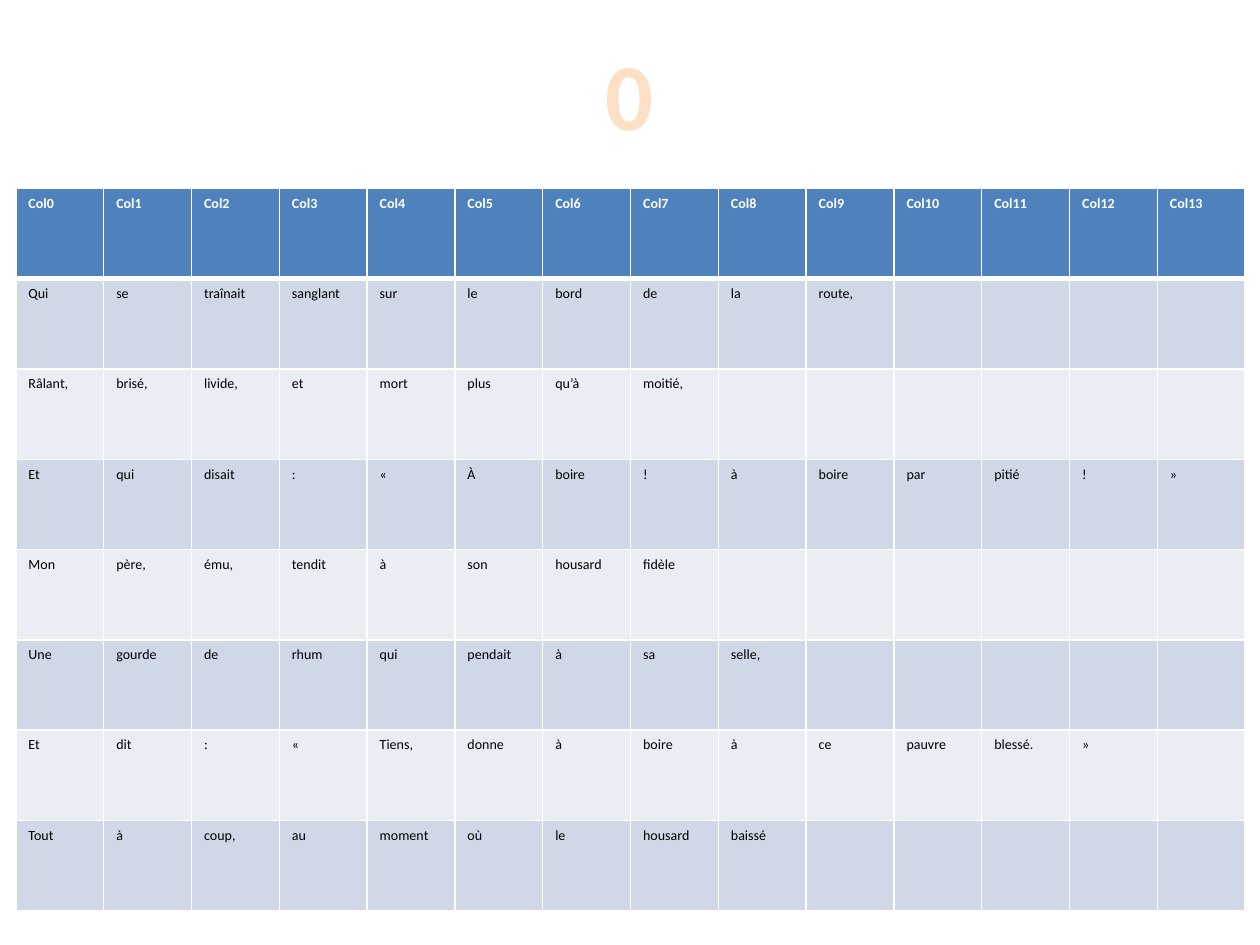
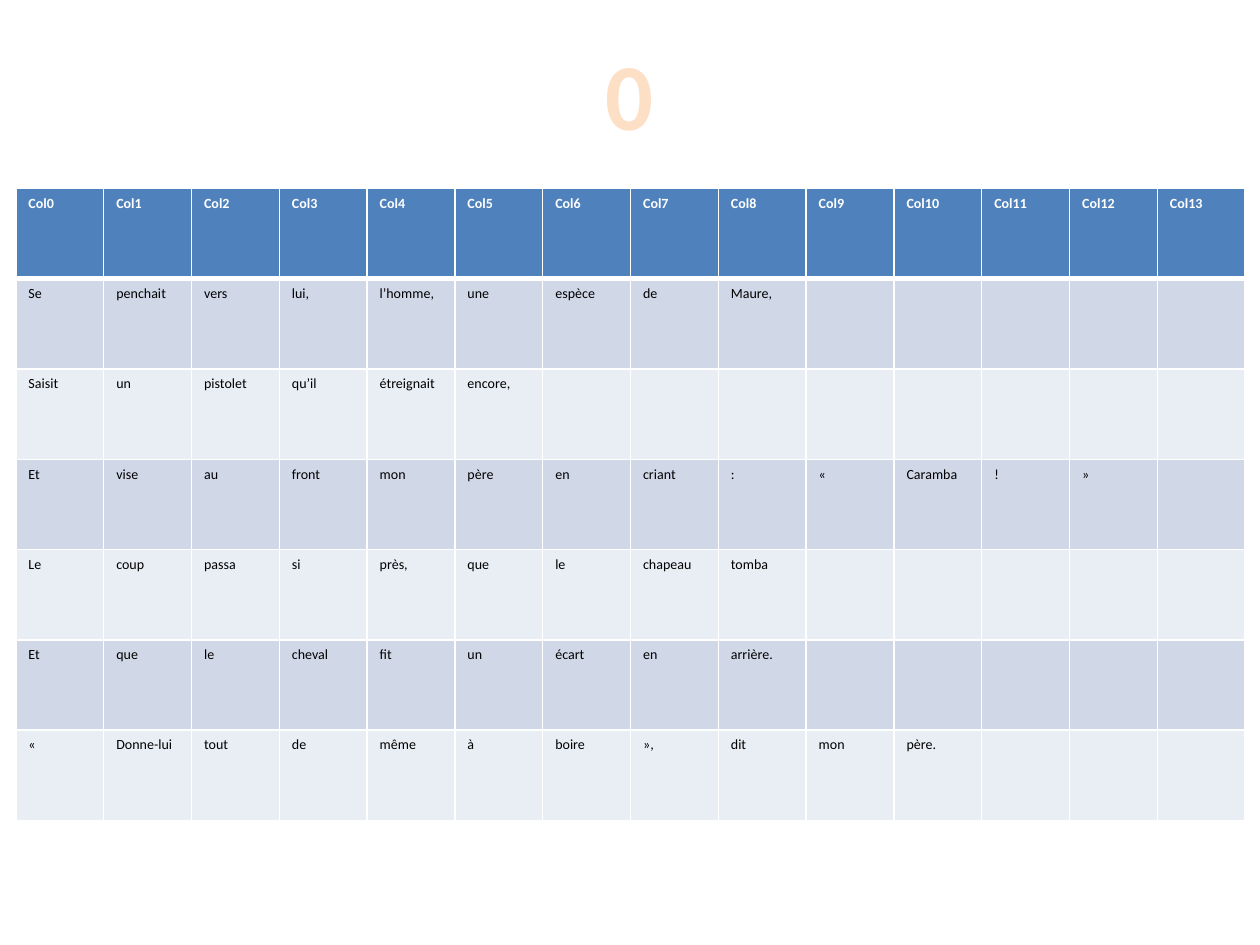
from dataclasses import dataclass

from lxml.etree import SubElement
from pptx import Presentation
from pptx.dml.color import RGBColor
from pptx.enum.text import PP_ALIGN
from pptx.oxml.ns import qn
from pptx.slide import Slide
from pptx.table import _Cell
from pptx.util import Cm, Pt

WHITE = RGBColor(0xFF, 0xFF, 0xFF)
BLACK = RGBColor(0x00, 0x00, 0x00)
HEADER_BLUE = RGBColor(0x4F, 0x81, 0xBD)
BAND_DARK = RGBColor(0xD0, 0xD8, 0xE8)
BAND_LIGHT = RGBColor(0xE9, 0xED, 0xF4)
PEACH = RGBColor(0xFD, 0xDF, 0xC6)

FONT = "Calibri"
COLUMN_COUNT = 14
COLUMN_WIDTH = Cm(1.77)
ROW_HEIGHT = Cm(1.82)
TABLE_LEFT = Cm(0.32)
TABLE_TOP = Cm(3.8)


@dataclass(frozen=True)
class RowStyle:
    fill: RGBColor
    ink: RGBColor
    bold: bool
    borders: dict[str, float]


BODY_BORDERS = {"lnL": 1, "lnR": 1, "lnB": 1}
HEADER = RowStyle(HEADER_BLUE, WHITE, True, {"lnL": 1, "lnR": 1, "lnT": 1, "lnB": 3})
BANDS = (
    RowStyle(BAND_DARK, BLACK, False, BODY_BORDERS),
    RowStyle(BAND_LIGHT, BLACK, False, BODY_BORDERS),
)


@dataclass(frozen=True)
class PoemPage:
    title: str
    verses: tuple[str, ...]


PAGES = (
    PoemPage("0", (
        "Qui se traînait sanglant sur le bord de la route,",
        "Râlant, brisé, livide, et mort plus qu’à moitié,",
        "Et qui disait : « À boire ! à boire par pitié ! »",
        "Mon père, ému, tendit à son housard fidèle",
        "Une gourde de rhum qui pendait à sa selle,",
        "Et dit : « Tiens, donne à boire à ce pauvre blessé. »",
        "Tout à coup, au moment où le housard baissé",
    )),
    PoemPage("0", (
        "Se penchait vers lui, l’homme, une espèce de Maure,",
        "Saisit un pistolet qu’il étreignait encore,",
        "Et vise au front mon père en criant : « Caramba ! »",
        "Le coup passa si près, que le chapeau tomba",
        "Et que le cheval fit un écart en arrière.",
        "« Donne-lui tout de même à boire », dit mon père.",
    )),
)


def add_outline(parent, tag: str, points: float, color: RGBColor) -> None:
    outline = SubElement(parent, qn(f"a:{tag}"), w=str(Pt(points)))
    solid = SubElement(outline, qn("a:solidFill"))
    SubElement(solid, qn("a:srgbClr"), val=str(color))


def add_title(slide: Slide, title: str) -> None:
    frame = slide.shapes.add_textbox(Cm(11.76), Cm(0.61), Cm(1.88), Cm(2.35)).text_frame
    frame.word_wrap = True
    paragraph = frame.paragraphs[0]
    paragraph.alignment = PP_ALIGN.CENTER
    run = paragraph.add_run()
    run.text = title
    properties = run.font._element
    add_outline(properties, "ln", 1.5, PEACH)
    run.font.name = FONT
    run.font.size = Pt(54)
    run.font.bold = True
    run.font.color.rgb = PEACH


def style_cell(cell: _Cell, word: str, style: RowStyle) -> None:
    properties = cell._tc.get_or_add_tcPr()
    for edge, points in style.borders.items():
        add_outline(properties, edge, points, WHITE)
    cell.fill.solid()
    cell.fill.fore_color.rgb = style.fill
    cell.text = word
    font = cell.text_frame.paragraphs[0].font
    font.name = FONT
    font.size = Pt(8)
    font.bold = style.bold
    font.color.rgb = style.ink


def add_verse_table(slide: Slide, verses: tuple[str, ...]) -> None:
    headings = [f"Col{index}" for index in range(COLUMN_COUNT)]
    lines = [headings] + [verse.split() for verse in verses]
    table = slide.shapes.add_table(
        len(lines), COLUMN_COUNT, TABLE_LEFT, TABLE_TOP,
        COLUMN_WIDTH * COLUMN_COUNT, ROW_HEIGHT * len(lines),
    ).table
    for column in table.columns:
        column.width = COLUMN_WIDTH
    for row_index, (row, words) in enumerate(zip(table.rows, lines)):
        row.height = ROW_HEIGHT
        style = BANDS[(row_index - 1) % 2] if row_index else HEADER
        padded = words + [""] * (COLUMN_COUNT - len(words))
        for cell, word in zip(row.cells, padded):
            style_cell(cell, word, style)


def main() -> None:
    presentation = Presentation()
    presentation.slide_width = Cm(25.4)
    presentation.slide_height = Cm(19.05)
    for page in PAGES:
        slide = presentation.slides.add_slide(presentation.slide_layouts[6])
        add_title(slide, page.title)
        add_verse_table(slide, page.verses)
    presentation.save("out.pptx")


if __name__ == "__main__":
    main()
